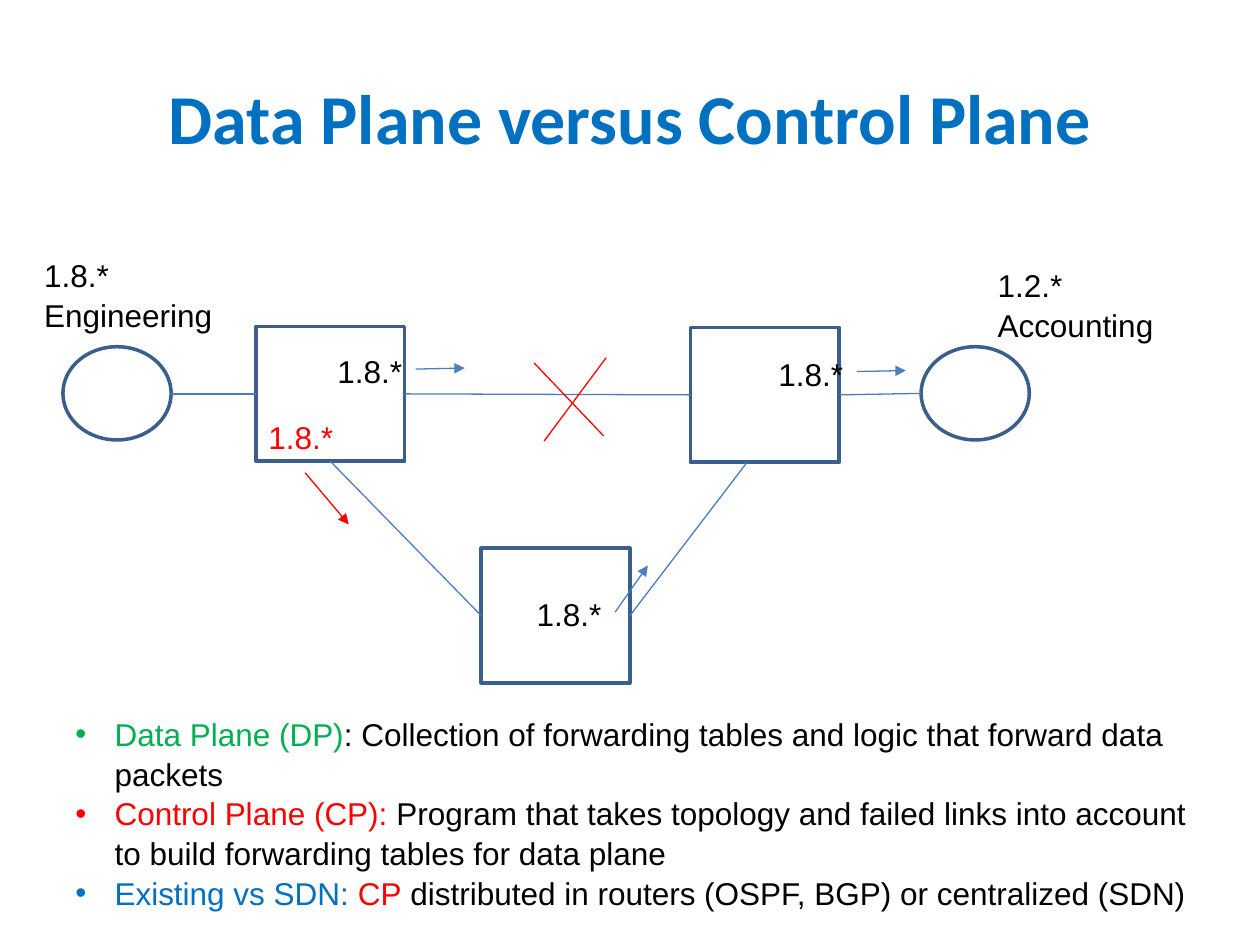
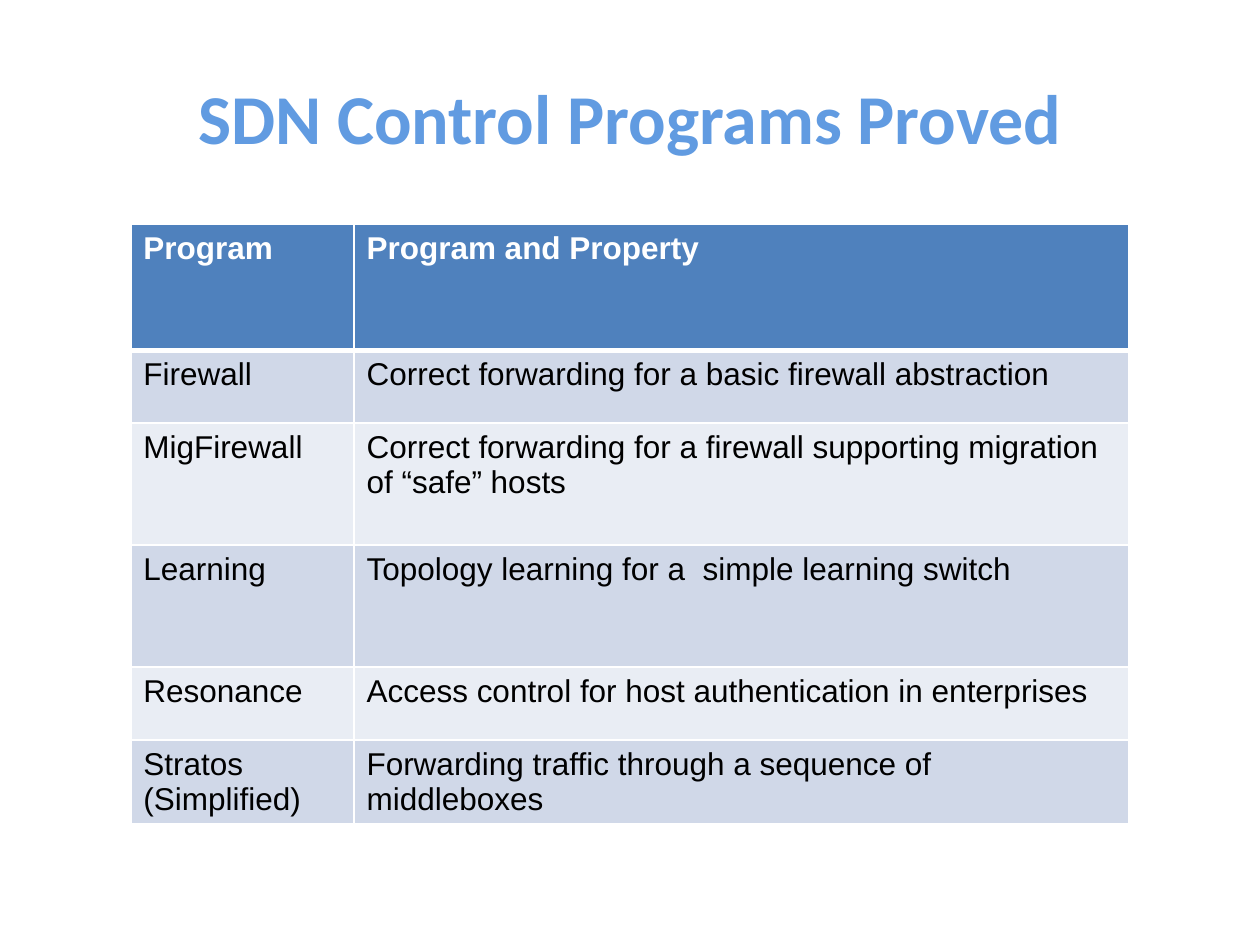
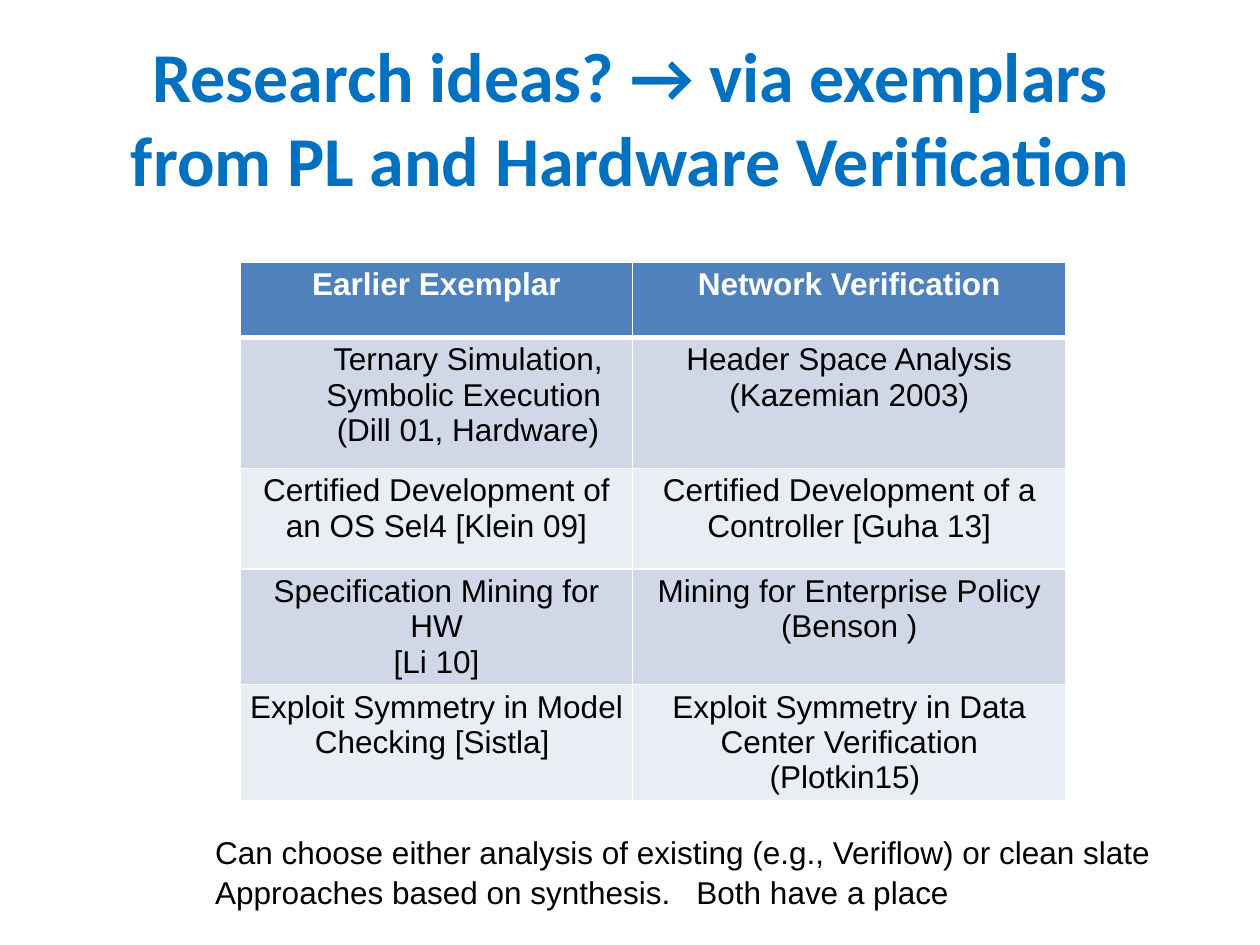
from dataclasses import dataclass

import pptx
import pptx.dml.color
import pptx.enum.shapes
import pptx.enum.text
import pptx.oxml
import pptx.oxml.ns
import pptx.util

Cm = pptx.util.Cm
Pt = pptx.util.Pt
Shapes = pptx.enum.shapes.MSO_SHAPE
Align = pptx.enum.text.PP_ALIGN
Fit = pptx.enum.text.MSO_AUTO_SIZE
TOP, LEFT, BOTTOM, RIGHT = range(4)


@dataclass(frozen=True)
class Theme:
    title: str = "0070C0"
    light_title: str = "619BE1"
    ink: str = "000000"
    white: str = "FFFFFF"
    red: str = "FF0000"
    green: str = "00B050"
    outline: str = "3A5F8C"
    link: str = "4B7EBC"
    header: str = "4F81BD"
    bands: tuple = ("D0D8E8", "E9EDF4")
    title_font: str = "Calibri"
    body_font: str = "Arial"
    title_size: int = 40
    body_size: int = 18
    box_spacing: float = 1.05
    outline_width: float = 2
    link_width: float = 0.75
    grid_width: float = 1
    header_rule: float = 3


def colour(code):
    return pptx.dml.color.RGBColor.from_string(code)


def element(tag, **attributes):
    item = pptx.oxml.parse_xml(f"<{tag} {pptx.oxml.ns.nsdecls('a')}/>")
    for name, value in attributes.items():
        item.set(name, str(value))
    return item


class Builder:
    def __init__(self, theme):
        self.theme = theme
        self.deck = pptx.Presentation()
        self.deck.slide_width = Cm(25.4)
        self.deck.slide_height = Cm(19.05)
        self.page = None

    def new_page(self, title, title_colour=None):
        self.page = self.deck.slides.add_slide(self.deck.slide_layouts[5])
        box = self.page.shapes.title
        box.left, box.top, box.width, box.height = Cm(1.27), Cm(0.76), Cm(22.86), Cm(3.18)
        frame = box.text_frame
        frame.auto_size = Fit.NONE
        frame.vertical_anchor = pptx.enum.text.MSO_ANCHOR.MIDDLE
        para = frame.paragraphs[0]
        para.alignment = Align.CENTER
        self.span(para, title, title_colour or self.theme.title, True,
                  self.theme.title_font, self.theme.title_size)

    def span(self, para, words, ink, bold=False, font=None, size=None):
        span = para.add_run()
        span.text = words
        span.font.name = font or self.theme.body_font
        span.font.size = Pt(size or self.theme.body_size)
        span.font.bold = bold
        span.font.color.rgb = colour(ink)

    def paragraphs(self, frame, count):
        return [frame.paragraphs[0]] + [frame.add_paragraph() for _ in range(count - 1)]

    def text(self, left, top, width, height, lines, wrap=False, bullets=False):
        box = self.page.shapes.add_textbox(Cm(left), Cm(top), Cm(width), Cm(height))
        frame = box.text_frame
        frame.word_wrap = wrap
        frame.auto_size = Fit.SHAPE_TO_FIT_TEXT
        for para, spans in zip(self.paragraphs(frame, len(lines)), lines):
            para.line_spacing = self.theme.box_spacing
            if bullets:
                self.bullet(para)
            for words, ink in spans:
                self.span(para, words, ink)

    def bullet(self, para):
        settings = para._p.get_or_add_pPr()
        settings.set("marL", str(Cm(0.79)))
        settings.set("indent", str(-Cm(0.79)))
        settings.append(element("a:buFont", typeface=self.theme.body_font))
        settings.append(element("a:buChar", char="•"))

    def label(self, left, top, *lines, width=1.83, height=1.02, ink=None):
        self.text(left, top, width, height, [[(words, ink or self.theme.ink)] for words in lines])

    def outline(self, kind, left, top, width, height):
        shape = self.page.shapes.add_shape(kind, Cm(left), Cm(top), Cm(width), Cm(height))
        shape.shadow.inherit = False
        shape.fill.background()
        shape.line.color.rgb = colour(self.theme.outline)
        shape.line.width = Pt(self.theme.outline_width)
        return shape

    def router(self, left, top):
        return self.outline(Shapes.RECTANGLE, left, top, 3, 2.72)

    def host(self, left, top):
        return self.outline(Shapes.OVAL, left, top, 2.18, 1.88)

    def line(self, start, end, ink=None, arrow=False):
        points = [(0, 0) if hasattr(stop[0], "shape_id") else stop for stop in (start, end)]
        line = self.page.shapes.add_connector(
            pptx.enum.shapes.MSO_CONNECTOR.STRAIGHT,
            *(Cm(value) for point in points for value in point))
        for stop, join in ((start, line.begin_connect), (end, line.end_connect)):
            if hasattr(stop[0], "shape_id"):
                join(*stop)
        line.line.color.rgb = colour(ink or self.theme.link)
        line.line.width = Pt(self.theme.link_width)
        if arrow:
            line.line._get_or_add_ln().append(element("a:tailEnd", type="triangle"))
        line._element.spPr.append(element("a:effectLst"))

    def table(self, left, top, widths, heights, rows, align=Align.LEFT, insets=(0.25, 0.13)):
        table = self.page.shapes.add_table(
            len(rows), len(widths), Cm(left), Cm(top),
            Cm(sum(widths)), Cm(sum(heights))).table
        for column, width in zip(table.columns, widths):
            column.width = Cm(width)
        for index, (row, height, texts) in enumerate(zip(table.rows, heights, rows)):
            row.height = Cm(height)
            for cell, words in zip(row.cells, texts):
                self.cell(cell, index, words.split("\n"), align, insets)
        return table

    def cell(self, cell, row, lines, align, insets):
        theme = self.theme
        heading = row == 0
        cell.margin_left = cell.margin_right = Cm(insets[0])
        cell.margin_top = cell.margin_bottom = Cm(insets[1])
        cell.fill.solid()
        cell.fill.fore_color.rgb = colour(theme.header if heading else theme.bands[(row - 1) % 2])
        self.borders(cell, row)
        for para, words in zip(self.paragraphs(cell.text_frame, len(lines)), lines):
            para.alignment = align
            self.span(para, words, theme.white if heading else theme.ink, heading)

    def borders(self, cell, row):
        theme = self.theme
        thick = {"a:lnT": row == 1, "a:lnB": row == 0}
        for place, tag in enumerate(("a:lnL", "a:lnR", "a:lnT", "a:lnB")):
            width = theme.header_rule if thick.get(tag) else theme.grid_width
            border = element(tag, w=Pt(width))
            fill = element("a:solidFill")
            fill.append(element("a:srgbClr", val=theme.white))
            border.append(fill)
            cell._tc.get_or_add_tcPr().insert(place, border)


def planes_page(build):
    theme = build.theme
    build.new_page("Data Plane versus Control Plane")
    west = build.router(5.16, 6.58)
    east = build.router(13.92, 6.6)
    south = build.router(9.7, 11.05)
    build.host(1.27, 6.99)
    build.host(18.57, 6.99)

    build.line((west, RIGHT), (east, LEFT))
    build.line((west, BOTTOM), (south, LEFT))
    build.line((south, RIGHT), (15.06, 9.32))
    build.line((3.45, 7.94), (west, LEFT))
    build.line((east, RIGHT), (18.57, 7.93))

    build.label(19.86, 5.21, "1.2.*", "Accounting", width=3.68, height=1.8)
    build.label(0.64, 5, "1.8.*", "Engineering", width=3.94, height=1.8)
    for left, top in ((6.55, 6.93), (15.44, 6.99), (10.57, 11.84)):
        build.label(left, top, "1.8.*")
    build.label(5.16, 8.26, "1.8.*", ink=theme.red)

    for start, end in (((8.38, 7.44), (9.37, 7.42)),
                       ((17.27, 7.49), (18.26, 7.47)),
                       ((12.4, 12.34), (13.06, 11.4))):
        build.line(start, end, arrow=True)
    build.line((6.15, 9.53), (7.03, 10.57), theme.red, arrow=True)
    build.line((10.77, 7.32), (12.17, 8.79), theme.red)
    build.line((10.97, 8.89), (12.22, 7.21), theme.red)

    build.text(1.27, 14.25, 23.24, 4.11, [
        [("Data Plane (DP)", theme.green),
         (": Collection of forwarding tables and logic that forward data packets", theme.ink)],
        [("Control Plane (CP): ", theme.red),
         ("Program that takes topology and failed links into account "
          "to build forwarding tables for data plane", theme.ink)],
        [("Existing vs SDN: ", theme.title), ("CP", theme.red),
         (" distributed in routers (OSPF, BGP) or centralized (SDN)", theme.ink)],
    ], wrap=True, bullets=True)


def programs_page(build):
    build.new_page("SDN Control Programs Proved", build.theme.light_title)
    build.table(2.64, 4.52, (4.5, 15.62), (2.54, 1.47, 2.46, 2.46, 1.47, 1.47), (
        ("Program", "Program and Property"),
        ("Firewall", "Correct forwarding for a basic firewall abstraction"),
        ("MigFirewall", "Correct forwarding for a firewall supporting migration of “safe” hosts"),
        ("Learning", "Topology learning for a  simple learning switch"),
        ("Resonance", "Access control for host authentication in enterprises"),
        ("Stratos\n(Simplified)", "Forwarding traffic through a sequence of middleboxes"),
    ))


def exemplars_page(build):
    ink = build.theme.ink
    build.new_page("Research ideas? → via exemplars from PL and Hardware Verification")
    table = build.table(4.85, 5.28, (7.9, 8.74), (1.52, 2.64, 2.03, 2.03, 2.03), (
        ("Earlier Exemplar", "Network Verification"),
        ("Ternary Simulation, Symbolic Execution \n(Dill 01, Hardware)",
         "Header Space Analysis\n(Kazemian 2003)"),
        ("Certified Development of an OS Sel4 [Klein 09]",
         "Certified Development of a Controller [Guha 13]"),
        ("Specification Mining for HW\n[Li 10]", "Mining for Enterprise Policy\n(Benson )"),
        ("Exploit Symmetry in Model Checking [Sistla] ",
         "Exploit Symmetry in Data Center Verification (Plotkin15) "),
    ), align=Align.CENTER, insets=(0.18, 0.1))
    for para in table.cell(1, 0).text_frame.paragraphs:
        para.level = 1
        para._p.get_or_add_pPr().set("marL", str(Cm(1.27)))
    build.text(4.09, 16.64, 20.04, 1.8, [
        [("Can choose either analysis of existing (e.g., Veriflow) or clean slate", ink)],
        [("Approaches based on synthesis.   Both have a place", ink)],
    ], wrap=True)


def main():
    build = Builder(Theme())
    planes_page(build)
    programs_page(build)
    exemplars_page(build)
    build.deck.save("out.pptx")


if __name__ == "__main__":
    main()
